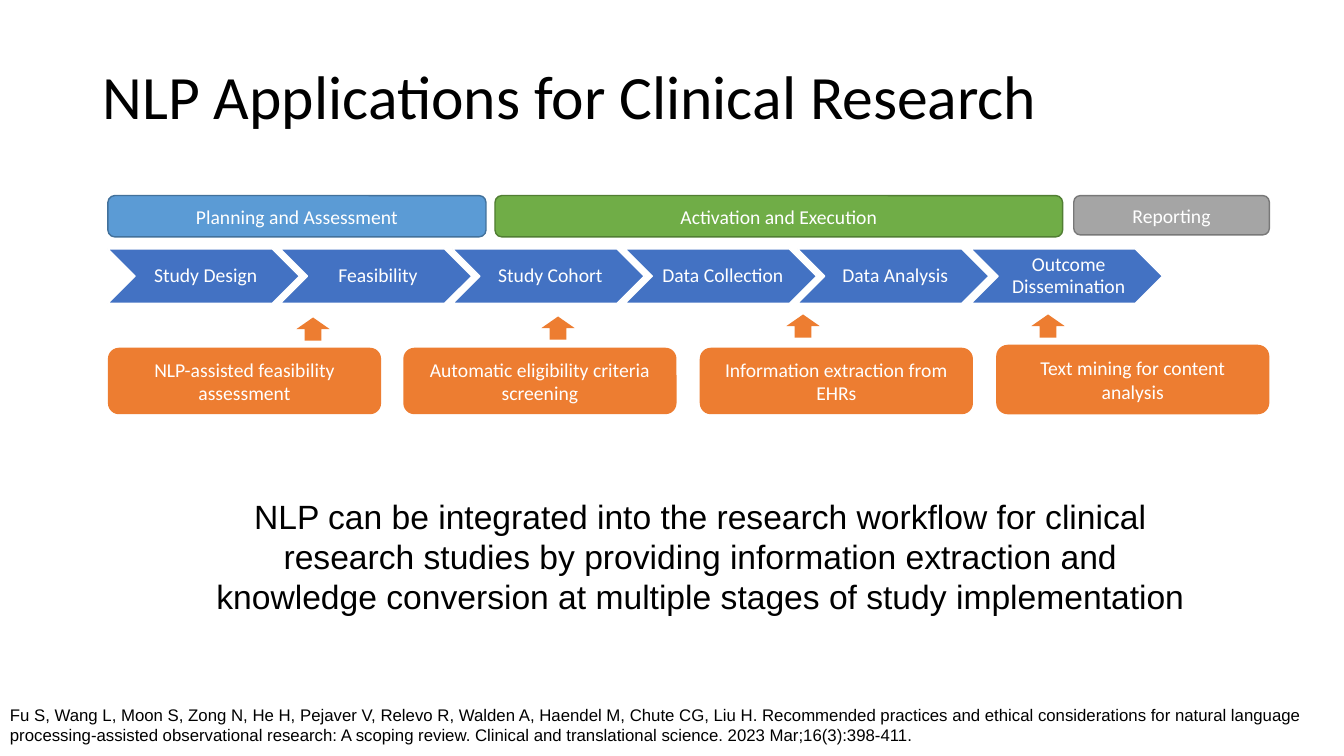
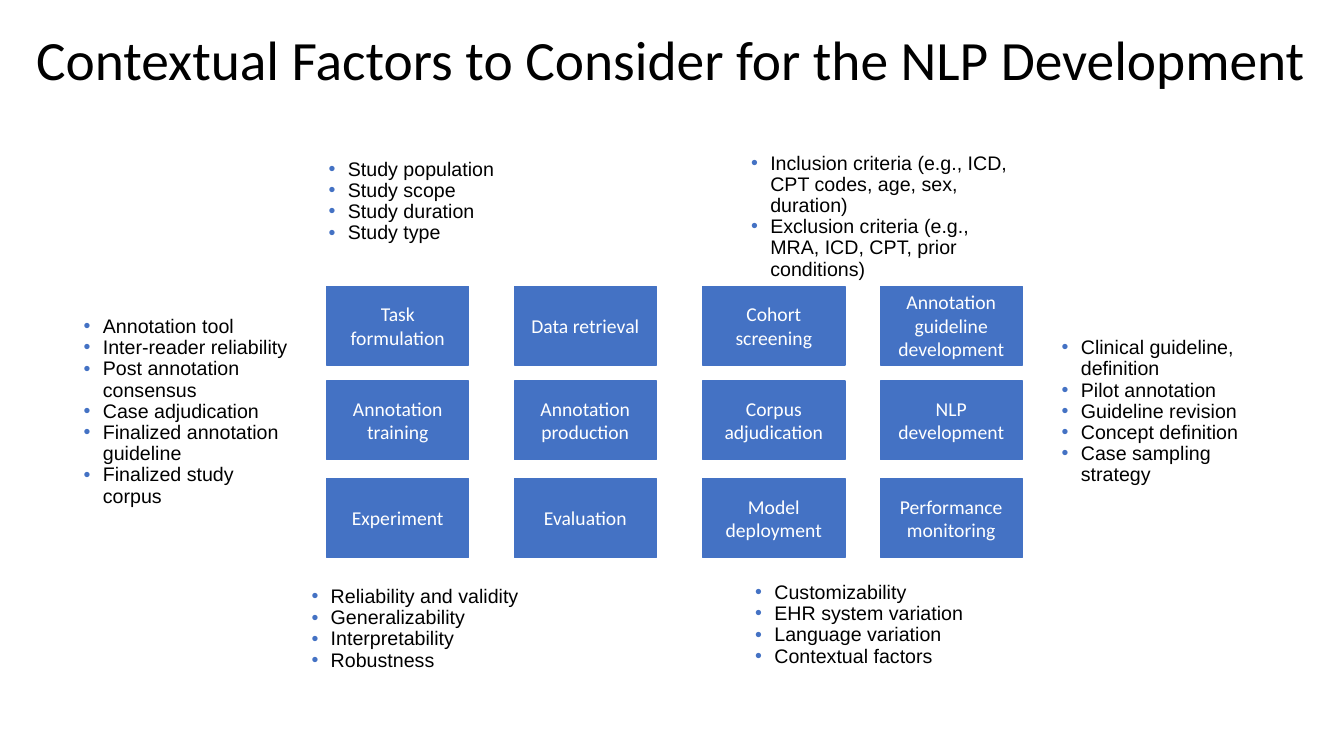
from typing import NamedTuple

from lxml import etree
from pptx import Presentation
from pptx.dml.color import RGBColor
from pptx.enum.shapes import MSO_SHAPE
from pptx.enum.text import MSO_ANCHOR, PP_ALIGN
from pptx.oxml.ns import qn
from pptx.shapes.autoshape import Shape
from pptx.slide import Slide
from pptx.util import Emu, Pt

PX = 9144  # EMU, 100 px to the inch
WIDE, HIGH = 1333, 750
ROUND, RECT = MSO_SHAPE.ROUNDED_RECTANGLE, MSO_SHAPE.RECTANGLE
CHEVRON, ARROW = MSO_SHAPE.CHEVRON, MSO_SHAPE.UP_ARROW
LEFT, CENTER = PP_ALIGN.LEFT, PP_ALIGN.CENTER
TOP, MIDDLE = MSO_ANCHOR.TOP, MSO_ANCHOR.MIDDLE
HEAD, BODY = "Calibri", "Arial"
COLORS = {
    "black": "000000", "white": "FFFFFF", "step": "4372C3", "box": "4472C4",
    "blue": "5B9BD5", "blue edge": "42719B", "green": "70AD47",
    "green edge": "517E33", "gray": "A5A5A5", "gray edge": "787878",
    "orange": "ED7D31",
}


class Box(NamedTuple):
    x: int
    y: int
    w: int
    h: int


class Phase(NamedTuple):
    box: Box
    text: str
    color: str


class Notes(NamedTuple):
    box: Box
    items: tuple[str, ...]


PHASES = (
    Phase(Box(107, 194, 375, 41), "Planning and Assessment", "blue"),
    Phase(Box(491, 194, 563, 41), "Activation and Execution", "green"),
    Phase(Box(1065, 194, 194, 39), "Reporting", "gray"),
)
STEPS = ("Study Design", "Feasibility", "Study Cohort", "Data Collection",
         "Data Analysis", "Outcome Dissemination")
USES = (
    ("NLP-assisted feasibility assessment", 345, 315),
    ("Automatic eligibility criteria screening", 345, 314),
    ("Information extraction from EHRs", 345, 312),
    ("Text mining for content analysis", 342, 312),
)
SUMMARY = ("NLP can be integrated into the research workflow for clinical "
           "research studies by providing information extraction and "
           "knowledge conversion at multiple stages of study implementation")
SOURCE = ("Fu S, Wang L, Moon S, Zong N, He H, Pejaver V, Relevo R, Walden A, "
          "Haendel M, Chute CG, Liu H. Recommended practices and ethical "
          "considerations for natural language processing‐assisted "
          "observational research: A scoping review. Clinical and "
          "translational science. 2023 Mar;16(3):398-411.")

COLUMNS = (324, 510, 697, 873)
ROWS = (284, 378, 475)
TASKS = (
    ("Task formulation", "Data retrieval", "Cohort screening",
     "Annotation guideline development"),
    ("Annotation training", "Annotation production", "Corpus adjudication",
     "NLP development"),
    ("Experiment", "Evaluation", "Model deployment", "Performance monitoring"),
)
FACTORS = (
    Notes(Box(326, 158, 250, 99),
          ("Study population", "Study scope", "Study duration", "Study type")),
    Notes(Box(745, 152, 270, 100),
          ("Inclusion criteria (e.g., ICD, CPT codes, age, sex, duration)",
           "Exclusion criteria (e.g., MRA, ICD, CPT, prior conditions)")),
    Notes(Box(1053, 335, 209, 158),
          ("Clinical guideline, definition", "Pilot annotation",
           "Guideline revision", "Concept definition",
           "Case sampling strategy")),
    Notes(Box(83, 314, 209, 209),
          ("Annotation tool", "Inter-reader reliability",
           "Post annotation consensus", "Case adjudication",
           "Finalized annotation guideline", "Finalized study corpus")),
    Notes(Box(749, 578, 261, 90),
          ("Customizability", "EHR system variation", "Language variation",
           "Contextual factors")),
    Notes(Box(309, 582, 266, 90),
          ("Reliability and validity", "Generalizability",
           "Interpretability", "Robustness")),
)


def scale(box: Box) -> list[Emu]:
    """Turn px into EMU."""
    return [Emu(side * PX) for side in box]


def paint(name: str) -> RGBColor:
    return RGBColor.from_string(COLORS[name])


def write(shape: Shape, *lines: str, size: float = 14, font: str = HEAD,
          color: str = "white", align: PP_ALIGN = CENTER,
          anchor: MSO_ANCHOR = MIDDLE, space: float = 1.0,
          inset: Box = Box(10, 5, 10, 5), bullet: str = "") -> None:
    """Fill a shape with paragraphs; inset is left, top, right, bottom."""
    frame = shape.text_frame
    frame.word_wrap = True
    frame.vertical_anchor = anchor
    (frame.margin_left, frame.margin_top,
     frame.margin_right, frame.margin_bottom) = scale(inset)
    for i, line in enumerate(lines):
        par = frame.add_paragraph() if i else frame.paragraphs[0]
        if bullet:
            mark(par._p.get_or_add_pPr(), bullet)
        par.alignment = align
        par.line_spacing = space
        run = par.add_run()
        run.text = line
        run.font.size = Pt(size)
        run.font.name = font
        run.font.color.rgb = paint(color)


def mark(props: etree._Element, color: str) -> None:
    """Give a paragraph a round bullet and a hanging indent."""
    props.set("marL", str(19 * PX))
    props.set("indent", str(-19 * PX))
    tint = etree.SubElement(props, qn("a:buClr"))
    etree.SubElement(tint, qn("a:srgbClr"), val=COLORS[color])
    etree.SubElement(props, qn("a:buFont"), typeface=BODY)
    etree.SubElement(props, qn("a:buChar"), char="•")


def label(slide: Slide, box: Box, *lines: str, **style) -> None:
    write(slide.shapes.add_textbox(*scale(box)), *lines, **style)


def draw(slide: Slide, kind: MSO_SHAPE, box: Box, fill: str,
         edge: str = "") -> Shape:
    shape = slide.shapes.add_shape(kind, *scale(box))
    shape.shadow.inherit = False
    shape.fill.solid()
    shape.fill.fore_color.rgb = paint(fill)
    if edge:
        shape.line.color.rgb = paint(edge)
        shape.line.width = Pt(1)
    else:
        shape.line.fill.background()
    return shape


def title(slide: Slide, box: Box, text: str, size: float) -> None:
    label(slide, box, text, size=size, color="black", align=LEFT, space=0.9)


def research(slide: Slide) -> None:
    title(slide, Box(92, 44, 1150, 109),
          "NLP Applications for Clinical Research", 44)
    for i, step in enumerate(STEPS):
        box = Box(107 + i * 856 // 5, 247, 190, 54)
        write(draw(slide, CHEVRON, box, "step", "white"), step,
              space=0.9, inset=Box(6, 2, 2, 2))
    for box, text, color in PHASES:
        write(draw(slide, ROUND, box, color, f"{color} edge"), text)
    for i, (text, top, tip) in enumerate(USES):
        box = Box(107 + i * 881 // 3, top, 271, 411 - top)
        write(draw(slide, ROUND, box, "orange"), text)
        draw(slide, ARROW, Box(294 + i * 243, tip, 33, 23), "orange")
    label(slide, Box(188, 486, 1013, 131), SUMMARY,
          size=24, font=BODY, color="black")
    label(slide, Box(0, 689, WIDE, 61), SOURCE, size=12, font=BODY,
          color="black", align=LEFT, anchor=TOP, inset=Box(10, 10, 10, 10))


def context(slide: Slide) -> None:
    title(slide, Box(26, 30, 1280, 64),
          "Contextual Factors to Consider for the NLP Development", 39.6)
    for y, row in zip(ROWS, TASKS):
        for x, task in zip(COLUMNS, row):
            write(draw(slide, RECT, Box(x, y, 141, 78), "box", "box"), task)
    for box, items in FACTORS:
        label(slide, box, *items, font=BODY, color="black", align=LEFT,
              anchor=TOP, space=0.9, inset=Box(0, 0, 0, 5), bullet="box")


def main() -> None:
    deck = Presentation()
    deck.slide_width, deck.slide_height = Emu(WIDE * PX), Emu(HIGH * PX)
    blank = deck.slide_layouts[6]
    for build in (research, context):
        build(deck.slides.add_slide(blank))
    deck.save("out.pptx")


if __name__ == "__main__":
    main()
